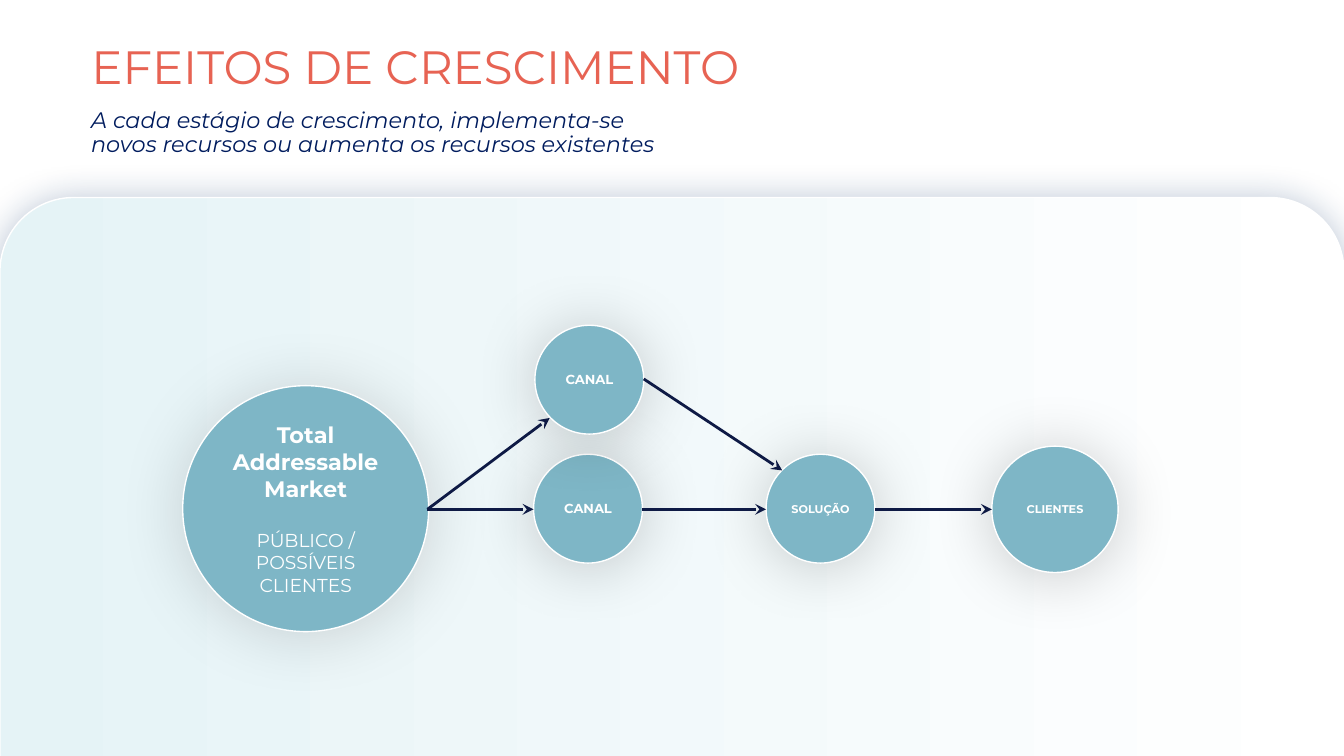
from lxml.etree import SubElement
from pptx import Presentation
from pptx.dml.color import RGBColor
from pptx.enum.shapes import MSO_CONNECTOR, MSO_SHAPE
from pptx.enum.text import MSO_ANCHOR, PP_ALIGN
from pptx.oxml.ns import qn
from pptx.util import Inches, Pt

WHITE = RGBColor(0xFF, 0xFF, 0xFF)
BLACK = RGBColor(0x00, 0x00, 0x00)
PALE_BLUE = RGBColor(0xE5, 0xF3, 0xF6)
TEAL = RGBColor(0x7E, 0xB6, 0xC6)
NAVY = RGBColor(0x00, 0x1C, 0x5E)
ARROW_NAVY = RGBColor(0x0E, 0x1A, 0x45)
SHADOW_BLUE = RGBColor(0x16, 0x3A, 0x6F)
CORAL = RGBColor(0xE7, 0x63, 0x53)


class GrowthSlide:
    """Style and drawing methods for the growth effects slide."""

    font_name = "Montserrat"

    def __init__(self, presentation):
        self.slide = presentation.slides.add_slide(presentation.slide_layouts[5])

    def add_run(self, paragraph, text, size, color, bold=False, italic=False):
        run = paragraph.add_run()
        run.text = text
        font = run.font
        font.name = self.font_name
        font.size = Pt(size)
        font.color.rgb = color
        font.bold = bold
        font.italic = italic

    def set_frame(self, frame, margin, anchor):
        frame.word_wrap = True
        frame.vertical_anchor = anchor
        frame.margin_left = frame.margin_right = Inches(margin)
        frame.margin_top = frame.margin_bottom = Inches(margin)

    def fill_heading(self, shape, lines, size, color, italic=False):
        self.set_frame(shape.text_frame, 0.1, MSO_ANCHOR.TOP)
        paragraph = shape.text_frame.paragraphs[0]
        paragraph.alignment = PP_ALIGN.LEFT
        paragraph.line_spacing = 0.9
        for index, line in enumerate(lines):
            if index:
                paragraph.add_line_break()
            self.add_run(paragraph, line, size, color, italic=italic)

    def title(self, text):
        shape = self.slide.shapes.title
        shape.left, shape.top = Inches(0.58), Inches(0.23)
        shape.width, shape.height = Inches(5.27), Inches(0.58)
        self.fill_heading(shape, [text], 25, CORAL)

    def subtitle(self, lines):
        shape = self.slide.shapes.add_textbox(
            Inches(0.58), Inches(0.71), Inches(5.67), Inches(0.57))
        self.fill_heading(shape, lines, 12, NAVY, italic=True)

    def outline_and_shadow(self, shape, color, opacity, blur):
        shape.line.color.rgb = WHITE
        shape.line.width = Pt(0.75)
        shape.shadow.inherit = False
        effects = shape._element.spPr.find(qn("a:effectLst"))
        shadow = SubElement(effects, qn("a:outerShdw"), blurRad=str(Pt(blur)),
                            dist=str(Pt(1.5)), dir="5400000", rotWithShape="0")
        shadow_color = SubElement(shadow, qn("a:srgbClr"), val=str(color))
        SubElement(shadow_color, qn("a:alpha"), val=str(opacity * 1000))

    def panel(self):
        shape = self.slide.shapes.add_shape(
            MSO_SHAPE.ROUNDED_RECTANGLE, Inches(0), Inches(1.47), Inches(10), Inches(4.74))
        shape.adjustments[0] = 0.116
        shape.fill.gradient()
        shape.fill.gradient_angle = 180
        for stop, color in zip(shape.fill.gradient_stops, (WHITE, PALE_BLUE)):
            stop.color.rgb = color
        self.outline_and_shadow(shape, SHADOW_BLUE, 31, 19.1)

    def circle(self, left, top, diameter, texts, opacity=20, blur=34.9):
        shape = self.slide.shapes.add_shape(
            MSO_SHAPE.OVAL, Inches(left), Inches(top), Inches(diameter), Inches(diameter))
        shape.fill.solid()
        shape.fill.fore_color.rgb = TEAL
        self.outline_and_shadow(shape, BLACK, opacity, blur)
        frame = shape.text_frame
        self.set_frame(frame, 0.05, MSO_ANCHOR.MIDDLE)
        for index, (text, size, bold) in enumerate(texts):
            paragraph = frame.add_paragraph() if index else frame.paragraphs[0]
            paragraph.alignment = PP_ALIGN.CENTER
            if index:
                paragraph.space_before = Pt(14.5)
            self.add_run(paragraph, text, size, WHITE, bold=bold)

    def arrow(self, start, end):
        connector = self.slide.shapes.add_connector(
            MSO_CONNECTOR.STRAIGHT, *(Inches(value) for value in (*start, *end)))
        connector.line.color.rgb = ARROW_NAVY
        connector.line.width = Pt(1.5)
        SubElement(connector.line._get_or_add_ln(), qn("a:tailEnd"), type="stealth")
        SubElement(connector._element.spPr, qn("a:effectLst"))


def main():
    presentation = Presentation()
    presentation.slide_width = Inches(10)
    presentation.slide_height = Inches(10 * 9 / 16)
    growth = GrowthSlide(presentation)

    growth.panel()
    growth.title("EFEITOS DE CRESCIMENTO")
    growth.subtitle(["A cada estágio de crescimento, implementa-se",
                     "novos recursos ou aumenta os recursos existentes"])

    market_texts = [("Total Addressable Market", 12, True),
                    ("PÚBLICO / POSSÍVEIS CLIENTES", 10, False)]
    growth.circle(1.36, 2.87, 1.83, market_texts, opacity=14, blur=36)
    for left, top, diameter, label, size in (
            (5.7, 3.38, 0.81, "SOLUÇÃO", 6),
            (3.97, 3.38, 0.81, "CANAL", 7),
            (7.38, 3.32, 0.94, "CLIENTES", 6),
            (3.98, 2.42, 0.81, "CANAL", 7)):
        growth.circle(left, top, diameter, [(label, size, True)])

    axis = 3.79
    for start, end in (
            ((3.18, axis), (3.97, axis)),
            ((4.78, axis), (5.7, axis)),
            ((6.51, axis), (7.38, axis)),
            ((3.18, axis), (4.09, 3.11)),
            ((4.79, 2.82), (5.82, 3.5))):
        growth.arrow(start, end)

    presentation.save("out.pptx")


if __name__ == "__main__":
    main()
